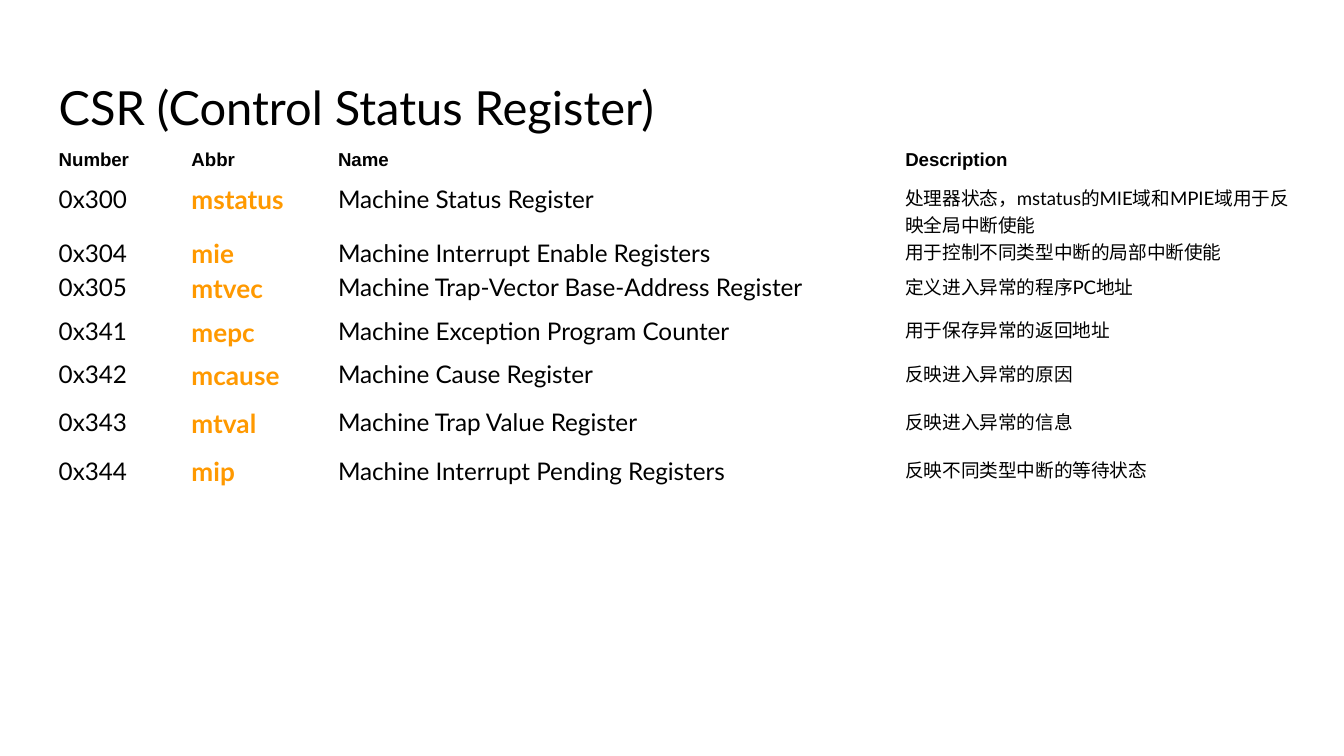
from pptx import Presentation
from pptx.dml.color import RGBColor
from pptx.enum.text import MSO_ANCHOR
from pptx.util import Cm, Pt

TOP = MSO_ANCHOR.TOP
BLACK = RGBColor(0x00, 0x00, 0x00)
ORANGE = RGBColor(0xFF, 0x99, 0x00)

TITLE = "CSR (Control Status Register)"
HEADERS = ("Number", "Abbr", "Name", "Description")
REGISTERS = [
    ("0x300", "mstatus", "Machine Status Register",
     "处理器状态，mstatus的MIE域和MPIE域用于反映全局中断使能"),
    ("0x304", "mie", "Machine Interrupt Enable Registers",
     "用于控制不同类型中断的局部中断使能"),
    ("0x305", "mtvec", "Machine Trap-Vector Base-Address Register",
     "定义进入异常的程序PC地址"),
    ("0x341", "mepc", "Machine Exception Program Counter",
     "用于保存异常的返回地址"),
    ("0x342", "mcause", "Machine Cause Register", "反映进入异常的原因"),
    ("0x343", "mtval", "Machine Trap Value Register", "反映进入异常的信息"),
    ("0x344", "mip", "Machine Interrupt Pending Registers",
     "反映不同类型中断的等待状态"),
]

LEFT = 0.86
COLUMN_WIDTHS = (2.51, 2.77, 10.72, 7.8)
ROW_HEIGHTS = (0.66, 1.02, 0.66, 0.82, 0.82, 0.91, 0.91, 0.6)
HEADER_FORMAT = dict(size=10, font="Arial", bold=True)
COLUMN_FORMATS = (
    dict(size=13),
    dict(size=14, color=ORANGE, bold=True),
    dict(size=13),
    dict(size=10),
)


def write_text(text_frame, text, size, font="Lato", color=BLACK, bold=False):
    text_frame.word_wrap = True
    run = text_frame.paragraphs[0].add_run()
    run.text = text
    run.font.size = Pt(size)
    run.font.name = font
    run.font.bold = bold
    run.font.color.rgb = color


def add_title(slide):
    box = slide.shapes.add_textbox(Cm(LEFT), Cm(1.24), Cm(23.67), Cm(1.6))
    frame = box.text_frame
    frame.margin_left = frame.margin_right = Cm(0.25)
    frame.margin_top = frame.margin_bottom = Cm(0.25)
    write_text(frame, TITLE, size=25.2)


def add_register_table(slide):
    rows = [HEADERS] + REGISTERS
    table = slide.shapes.add_table(
        len(rows), len(HEADERS), Cm(LEFT), Cm(2.82),
        Cm(sum(COLUMN_WIDTHS)), Cm(sum(ROW_HEIGHTS))).table
    table.first_row = False
    table.horz_banding = False
    for column, width in zip(table.columns, COLUMN_WIDTHS):
        column.width = Cm(width)
    for row, height in zip(table.rows, ROW_HEIGHTS):
        row.height = Cm(height)

    for row_index, texts in enumerate(rows):
        for column_index, text in enumerate(texts):
            cell = table.cell(row_index, column_index)
            cell.fill.background()
            cell.vertical_anchor = TOP
            cell.margin_left = cell.margin_right = Cm(0.25)
            cell.margin_top = cell.margin_bottom = 0
            text_format = COLUMN_FORMATS[column_index] if row_index else HEADER_FORMAT
            write_text(cell.text_frame, text, **text_format)


def main():
    presentation = Presentation()
    presentation.slide_width = Cm(25.4)
    presentation.slide_height = Cm(14.29)
    slide = presentation.slides.add_slide(presentation.slide_layouts[6])
    add_title(slide)
    add_register_table(slide)
    presentation.save("out.pptx")


if __name__ == "__main__":
    main()
